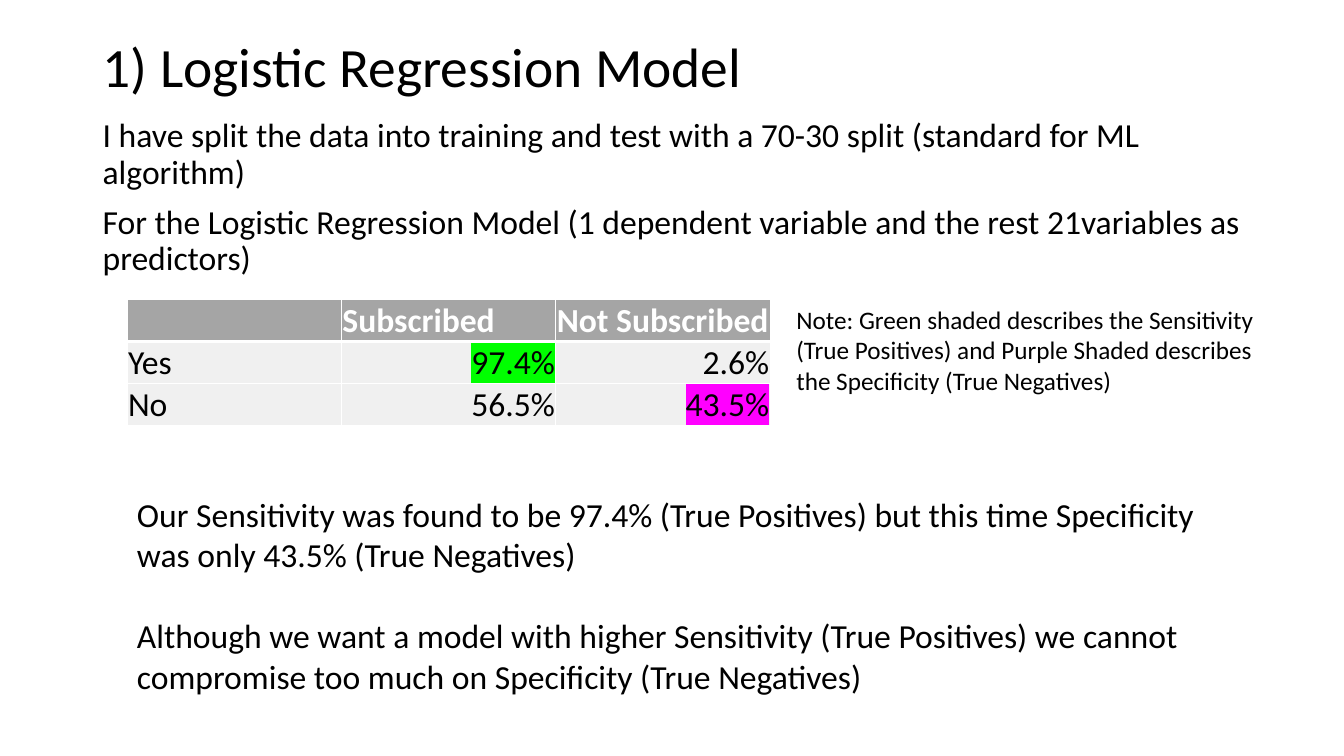
from dataclasses import dataclass
from typing import Any, Optional

import pptx
import pptx.dml.color
import pptx.enum.text
import pptx.oxml
import pptx.oxml.ns
import pptx.util
from pptx.util import Inches

ALIGN = pptx.enum.text.PP_ALIGN
ANCHOR = pptx.enum.text.MSO_ANCHOR


@dataclass(frozen=True)
class Theme:
    font: str = "Calibri"
    text: str = "000000"
    white: str = "FFFFFF"
    header: str = "A5A5A5"
    body_row: str = "F0F0F0"
    green: str = "00FF00"
    purple: str = "FF00FF"
    title_size: float = 39.6
    body_size: float = 24
    note_size: float = 18


THEME = Theme()


@dataclass(frozen=True)
class TextBlock:
    left: float
    top: float
    width: float
    height: float
    paragraphs: tuple[str, ...]
    size: float = THEME.body_size
    line_spacing: Optional[float] = None
    space_before: float = 0


@dataclass(frozen=True)
class TableCell:
    text: str
    align: Any = ALIGN.LEFT
    highlight: Optional[str] = None


TEXT_BLOCKS = (
    TextBlock(0.92, 1.13, 11.5, 1.75, (
        "I have split the data into training and test with a 70-30 split (standard for ML algorithm)",
        "For the Logistic Regression Model (1 dependent variable and the rest 21variables as predictors)",
    ), line_spacing=0.9, space_before=10),
    TextBlock(7.8, 2.97, 4.78, 1.01, (
        "Note: Green shaded describes the Sensitivity (True Positives) and Purple Shaded "
        "describes the Specificity (True Negatives)",
    ), size=THEME.note_size),
    TextBlock(1.26, 4.85, 10.72, 2.12, (
        "Our Sensitivity was found to be 97.4% (True Positives) but this time Specificity "
        "was only 43.5% (True Negatives)",
        "Although we want a model with higher Sensitivity (True Positives) we cannot "
        "compromise too much on Specificity (True Negatives)",
    ), space_before=29),
)

TABLE_ROWS = (
    (TableCell(""), TableCell("Subscribed"), TableCell("Not Subscribed")),
    (TableCell("Yes"), TableCell("97.4%", ALIGN.RIGHT, THEME.green), TableCell("2.6%", ALIGN.RIGHT)),
    (TableCell("No"), TableCell("56.5%", ALIGN.RIGHT), TableCell("43.5%", ALIGN.RIGHT, THEME.purple)),
)


def write_text(paragraph: Any, text: str, *, size: float = THEME.body_size,
               color: str = THEME.text, bold: bool = False, align: Any = ALIGN.LEFT,
               line_spacing: Optional[float] = None, space_before: float = 0,
               highlight: Optional[str] = None) -> None:
    paragraph.alignment = align
    paragraph.space_before = pptx.util.Pt(space_before)
    if line_spacing:
        paragraph.line_spacing = line_spacing
    # An empty paragraph keeps its size without a run
    font = paragraph.font
    if text:
        run = paragraph.add_run()
        run.text = text
        font = run.font
    font.size = pptx.util.Pt(size)
    font.bold = bold
    font.name = THEME.font
    font.color.rgb = pptx.dml.color.RGBColor.from_string(color)
    if highlight:
        properties = run._r.get_or_add_rPr()
        properties.find(pptx.oxml.ns.qn("a:solidFill")).addnext(pptx.oxml.parse_xml(
            f'<a:highlight {pptx.oxml.ns.nsdecls("a")}><a:srgbClr val="{highlight}"/></a:highlight>'))


def add_text_block(slide: Any, block: TextBlock) -> None:
    shape = slide.shapes.add_textbox(Inches(block.left), Inches(block.top),
                                     Inches(block.width), Inches(block.height))
    frame = shape.text_frame
    frame.word_wrap = True
    for index, text in enumerate(block.paragraphs):
        paragraph = frame.add_paragraph() if index else frame.paragraphs[0]
        write_text(paragraph, text, size=block.size, line_spacing=block.line_spacing,
                   space_before=block.space_before if index else 0)


def set_borders(cell: Any, top: float, bottom: float) -> None:
    properties = cell._tc.get_or_add_tcPr()
    for index, (side, width) in enumerate((("L", 1), ("R", 1), ("T", top), ("B", bottom))):
        properties.insert(index, pptx.oxml.parse_xml(
            f'<a:ln{side} {pptx.oxml.ns.nsdecls("a")} w="{pptx.util.Pt(width)}"><a:solidFill>'
            f'<a:srgbClr val="{THEME.white}"/></a:solidFill></a:ln{side}>'))


def add_results_table(slide: Any) -> None:
    table = slide.shapes.add_table(len(TABLE_ROWS), len(TABLE_ROWS[0]), Inches(1.26), Inches(2.97),
                                   Inches(6.38), Inches(1.23)).table
    table.first_row = False
    table.horz_banding = False
    for row_index, row in enumerate(TABLE_ROWS):
        is_header = row_index == 0
        for column_index, content in enumerate(row):
            cell = table.cell(row_index, column_index)
            cell.vertical_anchor = ANCHOR.BOTTOM
            cell.margin_left = cell.margin_right = cell.margin_top = Inches(0.01)
            cell.margin_bottom = 0
            cell.fill.solid()
            cell.fill.fore_color.rgb = pptx.dml.color.RGBColor.from_string(
                THEME.header if is_header else THEME.body_row)
            set_borders(cell, top=3 if row_index == 1 else 1, bottom=3 if is_header else 1)
            write_text(cell.text_frame.paragraphs[0], content.text, bold=is_header,
                       color=THEME.white if is_header else THEME.text,
                       align=content.align, highlight=content.highlight)


def add_title(slide: Any, text: str) -> None:
    title = slide.shapes.title
    title.left, title.top = Inches(0.92), Inches(0.4)
    title.width, title.height = Inches(11.5), Inches(0.58)
    title.text_frame.auto_size = pptx.enum.text.MSO_AUTO_SIZE.NONE
    title.text_frame.vertical_anchor = ANCHOR.MIDDLE
    write_text(title.text_frame.paragraphs[0], text, size=THEME.title_size, line_spacing=0.9)


def main() -> None:
    presentation = pptx.Presentation()
    presentation.slide_width = Inches(13.33)
    presentation.slide_height = Inches(7.5)
    slide = presentation.slides.add_slide(presentation.slide_layouts.get_by_name("Title Only"))

    add_title(slide, "1) Logistic Regression Model")
    add_results_table(slide)
    for block in TEXT_BLOCKS:
        add_text_block(slide, block)

    presentation.save("out.pptx")


if __name__ == "__main__":
    main()
